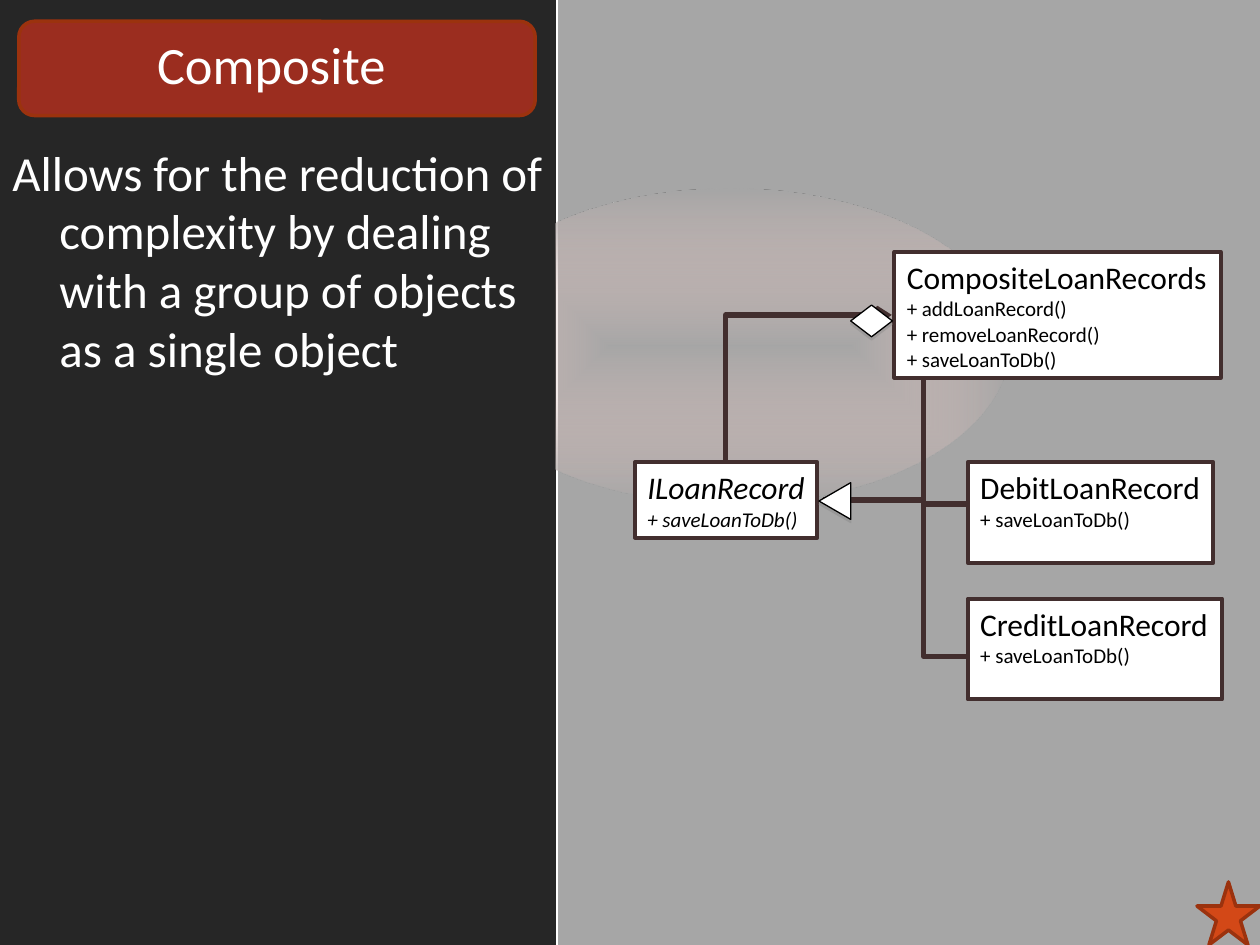
from dataclasses import dataclass

from lxml.etree import SubElement
from pptx import Presentation
from pptx.dml.color import RGBColor
from pptx.enum.shapes import MSO_CONNECTOR, MSO_SHAPE
from pptx.enum.text import MSO_ANCHOR, PP_ALIGN
from pptx.oxml.ns import qn
from pptx.util import Cm, Pt


@dataclass(frozen=True)
class Theme:
    font: str = "Calibri"
    page: str = "A6A6A6"
    panel: str = "262626"
    header: str = "9B2D1F"
    header_edge: str = "9B320E"
    star: str = "D34817"
    glow: str = "F4CEC9"
    edge: str = "422E2E"
    shadow: str = "808080"
    white: str = "FFFFFF"
    black: str = "000000"
    title_size: int = 30
    body_size: int = 28
    class_size: int = 18
    method_size: int = 12


THEME = Theme()
PAGE_WIDTH, PAGE_HEIGHT, PANEL_WIDTH = 25.4, 19.05, 11.23

TITLE = "Composite"
BODY = ("Allows for the reduction of complexity by dealing with "
        "a group of objects as a single object")

# Name, methods, abstract, (left, top, width, height) in cm
CLASSES = [
    ("CompositeLoanRecords",
     ["+ addLoanRecord()", "+ removeLoanRecord()", "+ saveLoanToDb()"],
     False, (18.03, 5.08, 6.58, 2.54)),
    ("ILoanRecord", ["+ saveLoanToDb()"], True, (12.8, 9.32, 3.68, 1.52)),
    ("CreditLoanRecord", ["+ saveLoanToDb()"], False, (19.51, 12.07, 5.13, 2.03)),
    ("DebitLoanRecord", ["+ saveLoanToDb()"], False, (19.51, 9.32, 4.95, 2.03)),
]

TRUNK_X = 18.62  # vertical line shared by the inheritance branches
# Start and end in cm; every elbow runs sideways first, then up or down
AGGREGATION = ((17.98, 6.35), (14.63, 9.32))
INHERITANCE = [((16.59, 10.08), (TRUNK_X, 7.62)),
               ((19.48, 13.23), (TRUNK_X, 9.96))]
DEBIT_BRANCH = ((TRUNK_X, 10.16), (19.48, 10.16))


def color(value):
    return RGBColor.from_string(value)


def add_box(page, kind, place, fill=None, line=None, width=1):
    box = page.shapes.add_shape(kind, *map(Cm, place))
    box.shadow.inherit = False
    if fill:
        box.fill.solid()
        box.fill.fore_color.rgb = color(fill)
    if line:
        box.line.color.rgb = color(line)
        box.line.width = Pt(width)
    else:
        box.line.fill.background()
    return box


def add_text(box, text, *, size, ink, first=False, italic=False,
             align=PP_ALIGN.LEFT, space_before=0):
    """Write one paragraph, into the empty first one when first is set."""
    frame = box.text_frame
    para = frame.paragraphs[0] if first else frame.add_paragraph()
    para.alignment = align
    para.space_before = Pt(space_before)
    span = para.add_run()
    span.text = text
    span.font.name = THEME.font
    span.font.size = Pt(size)
    span.font.italic = italic
    span.font.color.rgb = color(ink)
    return para


def add_line(page, ends, ink=THEME.edge, width=3, elbow=False):
    (x1, y1), (x2, y2) = ends
    kind = MSO_CONNECTOR.ELBOW if elbow else MSO_CONNECTOR.STRAIGHT
    line = page.shapes.add_connector(kind, Cm(x1), Cm(y1), Cm(x2), Cm(y2))
    line.line.color.rgb = color(ink)
    line.line.width = Pt(width)
    properties = line._element.spPr
    SubElement(properties, qn("a:effectLst"))
    if elbow:
        properties.find(qn("a:prstGeom")).set("prst", "bentConnector2")
    return line


def add_glow(page, place):
    """Ellipse fading from a clear centre to the page colour."""
    glow = add_box(page, MSO_SHAPE.OVAL, place)
    glow.fill.gradient()
    for stop, value, position in zip(glow.fill.gradient_stops,
                                     (THEME.glow, THEME.page), (0, 1)):
        stop.color.rgb = color(value)
        stop.position = position
    gradient = glow._element.spPr.find(qn("a:gradFill"))
    first_color = gradient.find(".//" + qn("a:srgbClr"))
    SubElement(first_color, qn("a:alpha"), val="0")
    linear = gradient.find(qn("a:lin"))
    route = SubElement(gradient, qn("a:path"), path="rect")
    gradient.replace(linear, route)
    SubElement(route, qn("a:fillToRect"),
               {side: "50000" for side in "ltrb"})


def add_marker(page, kind, place, rotation=0):
    marker = add_box(page, kind, place, THEME.white, THEME.black, 0.75)
    marker.rotation = rotation
    effects = marker._element.spPr.find(qn("a:effectLst"))
    shadow = SubElement(effects, qn("a:outerShdw"), blurRad="0",
                        dist=str(Pt(1.8)), dir="5400000", rotWithShape="0")
    ink = SubElement(shadow, qn("a:srgbClr"), val=THEME.shadow)
    SubElement(ink, qn("a:alpha"), val="35000")


def add_class(page, name, methods, abstract, place):
    box = add_box(page, MSO_SHAPE.RECTANGLE, place, THEME.white, THEME.edge, 2.25)
    box.text_frame.word_wrap = False
    box.text_frame.vertical_anchor = MSO_ANCHOR.TOP
    add_text(box, name, size=THEME.class_size, ink=THEME.black,
             first=True, italic=abstract)
    for method in methods:
        add_text(box, method, size=THEME.method_size, ink=THEME.black,
                 italic=abstract)


def add_panel(page):
    add_box(page, MSO_SHAPE.RECTANGLE, (0, 0, PANEL_WIDTH, PAGE_HEIGHT), THEME.panel)
    add_box(page, MSO_SHAPE.ROUNDED_RECTANGLE, (0.38, 0.43, 10.41, 1.9),
            THEME.header, THEME.header_edge, 2)
    add_line(page, ((PANEL_WIDTH, 0), (PANEL_WIDTH, PAGE_HEIGHT)), THEME.white, 1)
    add_glow(page, (9.09, 3.81, 11.23, 6.35))

    title = page.shapes.add_textbox(*map(Cm, (0.2, 0.43, 10.54, 1.7)))
    title.text_frame.word_wrap = True
    title.text_frame.vertical_anchor = MSO_ANCHOR.MIDDLE
    add_text(title, TITLE, size=THEME.title_size, ink=THEME.white,
             first=True, align=PP_ALIGN.CENTER)

    body = add_box(page, MSO_SHAPE.RECTANGLE, (0, 2.74, 11.2, 16.31), THEME.panel)
    body.text_frame.word_wrap = True
    body.text_frame.vertical_anchor = MSO_ANCHOR.TOP
    para = add_text(body, BODY, size=THEME.body_size, ink=THEME.white,
                    first=True, space_before=7)
    indent = Cm(0.95)
    paragraph_format = para._p.get_or_add_pPr()
    paragraph_format.set("marL", str(indent))
    paragraph_format.set("indent", str(-indent))


def add_diagram(page):
    for entry in CLASSES:
        add_class(page, *entry)
    aggregation = add_line(page, AGGREGATION, elbow=True)
    SubElement(aggregation.line._get_or_add_ln(), qn("a:headEnd"), type="arrow")
    for ends in INHERITANCE:
        add_line(page, ends, elbow=True)
    add_line(page, DEBIT_BRANCH)
    add_marker(page, MSO_SHAPE.ISOSCELES_TRIANGLE, (16.46, 9.78, 0.74, 0.64), 270)
    add_marker(page, MSO_SHAPE.DIAMOND, (17.15, 6.15, 0.84, 0.64))


def main():
    deck = Presentation()
    deck.slide_width, deck.slide_height = Cm(PAGE_WIDTH), Cm(PAGE_HEIGHT)
    page = deck.slides.add_slide(deck.slide_layouts[6])
    page.background.fill.solid()
    page.background.fill.fore_color.rgb = color(THEME.page)
    add_panel(page)
    add_box(page, MSO_SHAPE.STAR_5_POINT, (24.13, 17.78, 1.27, 1.27),
            THEME.star, THEME.header_edge, 2)
    add_diagram(page)
    deck.save("out.pptx")


if __name__ == "__main__":
    main()
